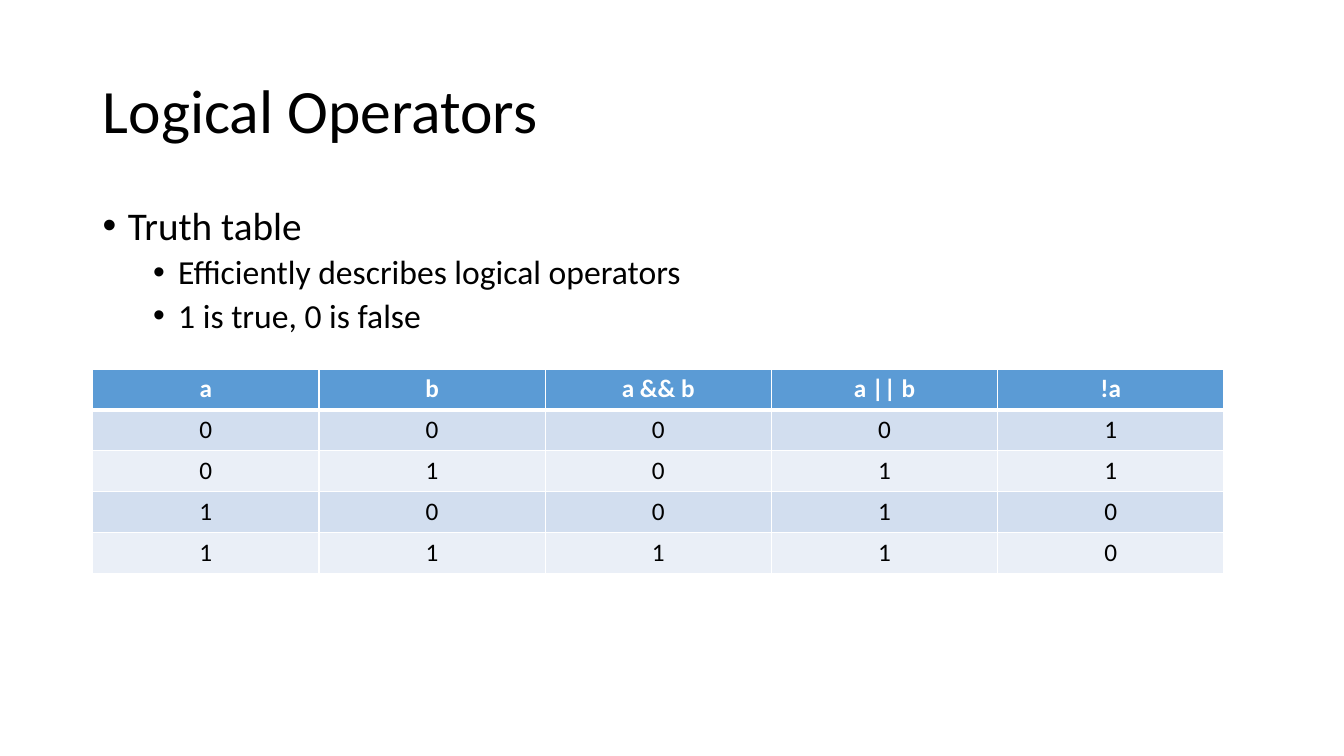
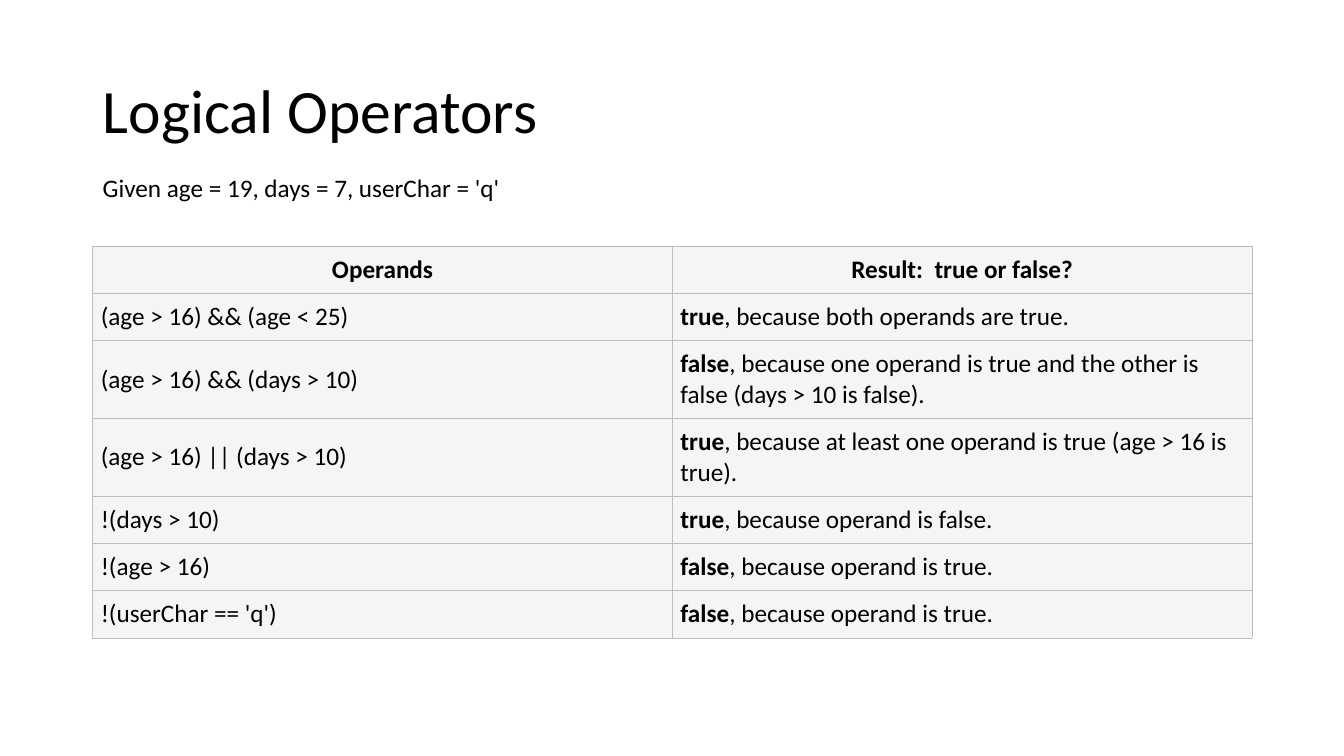
from dataclasses import dataclass

from lxml.etree import SubElement
from pptx import Presentation
from pptx.dml.color import RGBColor
from pptx.enum.text import MSO_ANCHOR, MSO_AUTO_SIZE, PP_ALIGN
from pptx.oxml import parse_xml
from pptx.oxml.ns import nsdecls, qn
from pptx.util import Inches, Pt


@dataclass(frozen=True)
class Theme:
    """Colours, type sizes and grid measures shared by the slides."""
    font: str = "Calibri"
    text: str = "000000"
    white: str = "FFFFFF"
    header: str = "5B9BD5"
    bands: tuple = ("D2DEEF", "EAEFF7")
    panel: str = "F5F5F5"
    panel_border: str = "BDBDBD"
    title_size: int = 44
    bullet_sizes: tuple = (28, 24)
    body_size: int = 18
    margin: float = 0.92
    column: float = 11.5 / 12
    row: float = 0.5


@dataclass(frozen=True)
class TableStyle:
    """Look of one kind of table."""
    header_fill: str
    header_text: str
    bands: tuple
    border: str
    border_width: float
    rule_width: float
    body_align: PP_ALIGN
    anchor: MSO_ANCHOR
    padding: tuple


THEME = Theme()
BANDED = TableStyle(THEME.header, THEME.white, THEME.bands, THEME.white, 1, 3,
                    PP_ALIGN.CENTER, MSO_ANCHOR.TOP, (0.1, 0.05))
PANEL = TableStyle(THEME.panel, THEME.text, (THEME.panel,), THEME.panel_border,
                   0.75, 0.75, PP_ALIGN.LEFT, MSO_ANCHOR.MIDDLE, (0.08, 0.08))


class Deck:
    """Builds slides on a grid of 12 columns and half-inch rows."""

    def __init__(self, theme):
        """Start an empty widescreen presentation."""
        self.theme = theme
        self.presentation = Presentation()
        self.presentation.slide_width = Inches(13.333)
        self.presentation.slide_height = Inches(7.5)
        self.slide = None

    def box(self, column, row, columns, rows):
        """Turn grid units into left, top, width and height."""
        theme = self.theme
        return (Inches(theme.margin + column * theme.column), Inches(row * theme.row),
                Inches(columns * theme.column), Inches(rows * theme.row))

    def format_runs(self, paragraph, size, color=None, bold=False):
        """Give every run of a paragraph the theme font."""
        for run in paragraph.runs:
            run.font.name = self.theme.font
            run.font.size = Pt(size)
            run.font.bold = bold
            run.font.color.rgb = RGBColor.from_string(color or self.theme.text)

    def add_slide(self, title):
        """Add a slide with the shared title style."""
        self.slide = self.presentation.slides.add_slide(
            self.presentation.slide_layouts.get_by_name("Title Only"))
        shape = self.slide.shapes.title
        shape.left, shape.top, shape.width, shape.height = self.box(0, 0.8, 12, 2.9)
        frame = shape.text_frame
        frame.text = title
        frame.auto_size = MSO_AUTO_SIZE.NONE
        frame.vertical_anchor = MSO_ANCHOR.MIDDLE
        paragraph = frame.paragraphs[0]
        paragraph.alignment = PP_ALIGN.LEFT
        paragraph.line_spacing = 0.9
        self.format_runs(paragraph, self.theme.title_size)

    def add_text(self, text, *place):
        """Add a wrapping text box and return its frame."""
        frame = self.slide.shapes.add_textbox(*self.box(*place)).text_frame
        frame.word_wrap = True
        frame.text = text
        for paragraph in frame.paragraphs:
            self.format_runs(paragraph, self.theme.body_size)
        return frame

    def add_bullets(self, items, *place):
        """Add bulleted lines given as (level, text) pairs."""
        frame = self.add_text("\n".join(text for _, text in items), *place)
        for paragraph, (level, _) in zip(frame.paragraphs, items):
            paragraph.level = level
            paragraph.line_spacing = 0.9
            paragraph.space_before = Pt(5 if level else 10)
            self.format_runs(paragraph, self.theme.bullet_sizes[level])
            properties = paragraph._p.get_or_add_pPr()
            properties.set("marL", str(Inches(0.25 + 0.5 * level)))
            properties.set("indent", str(Inches(-0.25)))
            SubElement(properties, qn("a:buFont"), typeface="Arial")
            SubElement(properties, qn("a:buChar"), char="\u2022")

    def add_table(self, rows, heights, style, *place):
        """Add a table; a cell is a text or a (bold lead, rest) pair."""
        table = self.slide.shapes.add_table(
            len(rows), len(rows[0]), *self.box(*place, sum(heights) / self.theme.row)).table
        table.horz_banding = False
        for row_index, values in enumerate(rows):
            table.rows[row_index].height = Inches(heights[row_index])
            for column_index, value in enumerate(values):
                self.fill_cell(table.cell(row_index, column_index), value, row_index, style)

    def fill_cell(self, cell, value, row_index, style):
        """Write and style one table cell."""
        is_header = row_index == 0
        fill = style.header_fill if is_header else style.bands[(row_index - 1) % len(style.bands)]
        cell.fill.solid()
        cell.fill.fore_color.rgb = RGBColor.from_string(fill)
        cell.vertical_anchor = style.anchor
        cell.margin_left = cell.margin_right = Inches(style.padding[0])
        cell.margin_top = cell.margin_bottom = Inches(style.padding[1])
        lead, *rest = (value,) if isinstance(value, str) else value
        paragraph = cell.text_frame.paragraphs[0]
        paragraph.text = lead
        for text in rest:
            paragraph.add_run().text = text
        paragraph.alignment = PP_ALIGN.CENTER if is_header else style.body_align
        self.format_runs(paragraph, self.theme.body_size,
                         style.header_text if is_header else self.theme.text, is_header)
        if rest:
            paragraph.runs[0].font.bold = True
        self.draw_borders(cell, row_index, style)

    def draw_borders(self, cell, row_index, style):
        """Line a cell, with the header rule below the first row."""
        properties = cell._tc.get_or_add_tcPr()
        rule_side = {0: "lnB", 1: "lnT"}.get(row_index)
        for index, side in enumerate(("lnL", "lnR", "lnT", "lnB")):
            width = style.rule_width if side == rule_side else style.border_width
            properties.insert(index, parse_xml(
                f'<a:{side} {nsdecls("a")} w="{Pt(width)}"><a:solidFill>'
                f'<a:srgbClr val="{style.border}"/></a:solidFill></a:{side}>'))


def add_truth_table_slide(deck):
    """Show the truth table of the three operators."""
    deck.add_slide("Logical Operators")
    deck.add_bullets([
        (0, "Truth table"),
        (1, "Efficiently describes logical operators"),
        (1, "1 is true, 0 is false"),
    ], 0, 4, 12, 9.52)
    rows = [("a", "b", "a && b", "a || b", "!a")]
    for a in (0, 1):
        for b in (0, 1):
            rows.append([str(int(value)) for value in (a, b, a and b, a or b, not a)])
    deck.add_table(rows, [0.406] * len(rows), BANDED, 0, 7.32, 11.71)


def add_examples_slide(deck):
    """Show evaluated expressions with their reasons."""
    deck.add_slide("Logical Operators")
    rows = [
        ("Operands", "Result:  true or false?"),
        ("(age > 16) && (age < 25)", ("true", ", because both operands are true.")),
        ("(age > 16) && (days > 10)",
         ("false", ", because one operand is true and the other is false (days > 10 is false).")),
        ("(age > 16) || (days > 10)",
         ("true", ", because at least one operand is true (age > 16 is true).")),
        ("!(days > 10)", ("true", ", because operand is false.")),
        ("!(age > 16)", ("false", ", because operand is true.")),
        ("!(userChar == 'q')", ("false", ", because operand is true.")),
    ]
    one_line, two_lines = 0.47, 0.77
    heights = [two_lines if index in (2, 3) else one_line for index in range(len(rows))]
    deck.add_table(rows, heights, PANEL, 0, 4.88, 12)
    deck.add_text("Given age = 19, days = 7, userChar = 'q'", 0, 3.32, 5.76, 1.42)


deck = Deck(THEME)
add_truth_table_slide(deck)
add_examples_slide(deck)
deck.presentation.save("out.pptx")
